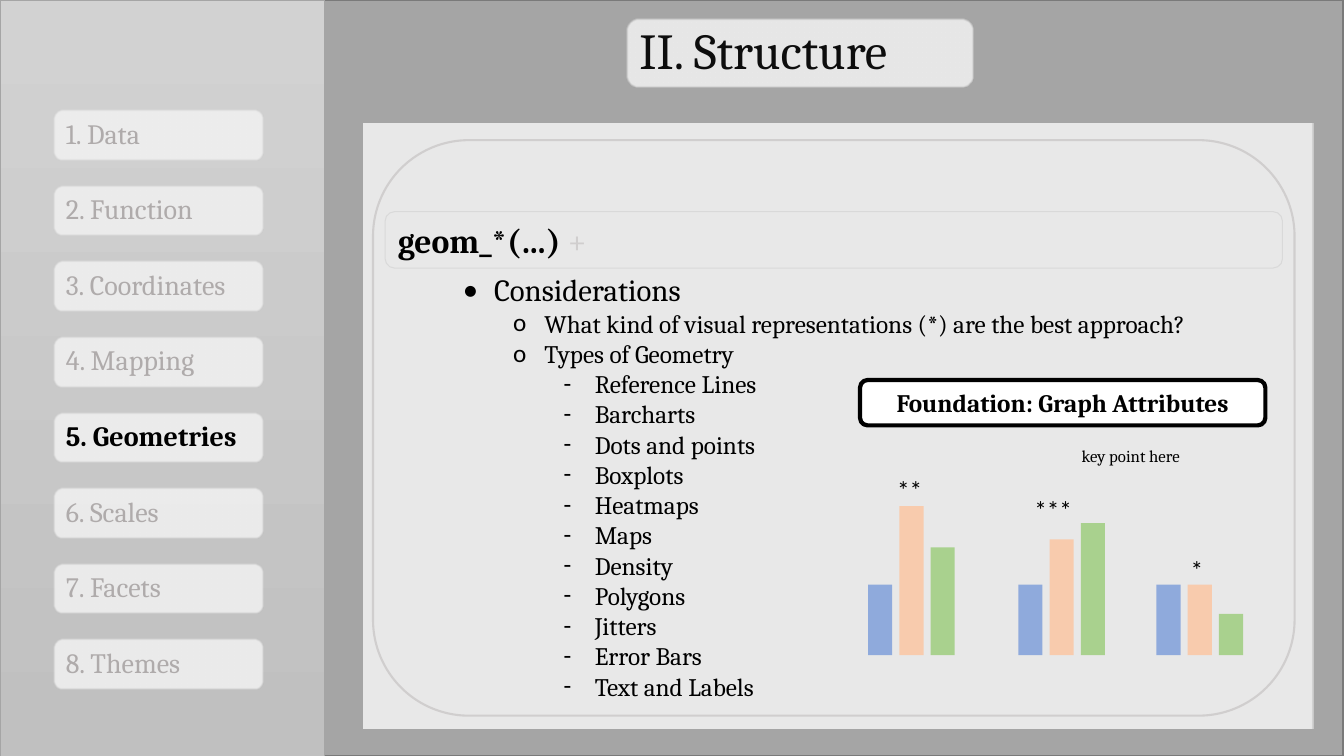
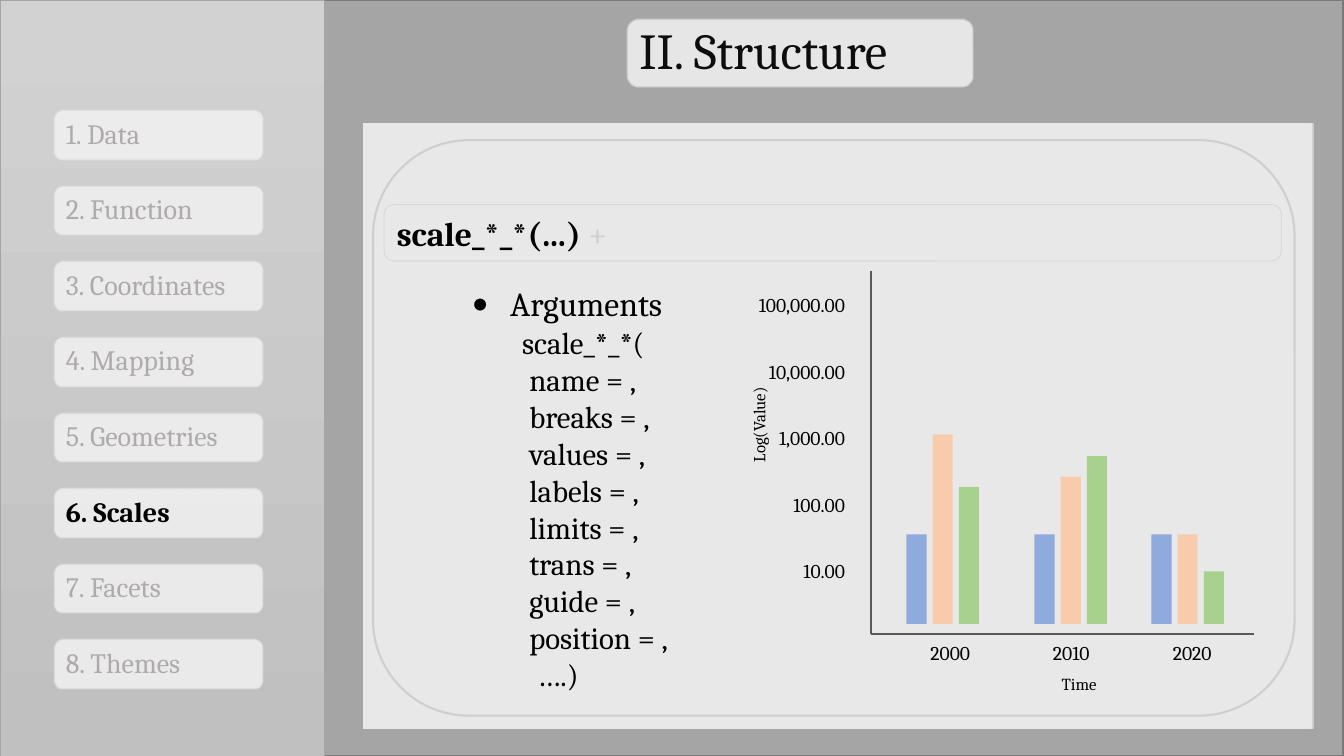
from dataclasses import dataclass

from lxml.etree import SubElement
from pptx import Presentation
from pptx.dml.color import RGBColor
from pptx.enum.shapes import MSO_CONNECTOR, MSO_SHAPE
from pptx.enum.text import MSO_ANCHOR, PP_ALIGN
from pptx.oxml.ns import qn
from pptx.util import Inches, Pt

SERIF, SANS = "Cambria", "Calibri"
BLACK, WHITE, INK = "000000", "FFFFFF", "0D0D0D"
PALE, RULE, EDGE, FADED = "F2F2F2", "D0CECE", "D9D9D9", "AFABAB"
BACK, BORDER, AXIS = "A5A5A5", "7A7A7A", "595959"
TOP, BOTTOM = "D2D2D2", "C0C0C0"
SERIES = ("8FAADC", "F8CBAD", "A9D18E")
HEIGHTS = ((0.7, 1.48, 1.07), (0.7, 1.15, 1.31), (0.7, 0.7, 0.41))
TOPICS = ("Data", "Function", "Coordinates", "Mapping",
          "Geometries", "Scales", "Facets", "Themes")


@dataclass
class Box:
    left: float
    top: float
    width: float
    height: float

    def place(self):
        return [Inches(n) for n in (self.left, self.top, self.width, self.height)]


@dataclass
class Style:
    size: float
    color: str = BLACK
    bold: bool = False
    name: str = SERIF
    align: PP_ALIGN = PP_ALIGN.LEFT
    space: float = 1


@dataclass
class Item:
    text: str
    size: float
    left: float
    hang: float = 0
    mark: str = ""


@dataclass
class Bars:
    starts: tuple
    base: float
    width: float
    step: float
    scale: float = 1


def rgb(color: str) -> RGBColor:
    return RGBColor.from_string(color)


def set_font(font, style: Style) -> None:
    font.name, font.size, font.bold = style.name, Pt(style.size), style.bold
    font.color.rgb = rgb(style.color)


def write(shape, text: str, style: Style):
    """Fill the first paragraph of a shape and return it."""
    frame = shape.text_frame
    frame.word_wrap = True
    para = frame.paragraphs[0]
    para.text, para.alignment = text, style.align
    if style.space != 1:
        para.line_spacing = style.space
    set_font(para.font, style)
    return para


def draw(slide, box: Box, fill: str = "", line: str = "", weight: float = 1,
         kind=MSO_SHAPE.RECTANGLE):
    shape = slide.shapes.add_shape(kind, *box.place())
    shape.shadow.inherit = False
    if fill:
        shape.fill.solid()
        shape.fill.fore_color.rgb = rgb(fill)
    else:
        shape.fill.background()
    if line:
        shape.line.color.rgb = rgb(line)
        shape.line.width = Pt(weight)
    else:
        shape.line.fill.background()
    shape.text_frame.vertical_anchor = MSO_ANCHOR.MIDDLE
    return shape


def glass(slide, box: Box, kind=MSO_SHAPE.ROUNDED_RECTANGLE):
    """Draw a pale, slightly see-through shape with a soft edge."""
    shape = draw(slide, box, PALE, kind=kind)
    props = shape._element.spPr
    SubElement(props.find(qn("a:solidFill"))[0], qn("a:alpha"), val="88000")
    SubElement(props.find(qn("a:effectLst")), qn("a:softEdge"), rad="12700")
    return shape


def label(slide, box: Box, text: str, style: Style):
    shape = slide.shapes.add_textbox(*box.place())
    write(shape, text, style)
    return shape


def rule(slide, start: tuple, end: tuple) -> None:
    line = slide.shapes.add_connector(
        MSO_CONNECTOR.STRAIGHT, *[Inches(n) for n in (*start, *end)])
    line.line.color.rgb = rgb(AXIS)
    line.line.width = Pt(1.5)
    SubElement(line._element.spPr, qn("a:effectLst"))


def outline(slide, box: Box, items: list) -> None:
    """Write an indented list, with bullets where an item has a mark."""
    frame = slide.shapes.add_textbox(*box.place()).text_frame
    frame.word_wrap = True
    frame.margin_left = frame.margin_top = 0
    for i, item in enumerate(items):
        para = frame.add_paragraph() if i else frame.paragraphs[0]
        para.text = item.text
        props = para._p.get_or_add_pPr()
        props.set("marL", str(Inches(item.left)))
        props.set("indent", str(-Inches(item.hang)))
        if item.mark:
            SubElement(props, qn("a:buFont"), typeface=SANS)
            SubElement(props, qn("a:buChar"), char=item.mark)
        set_font(para.font, Style(item.size))


def plot(slide, bars: Bars) -> None:
    for start, group in zip(bars.starts, HEIGHTS):
        for i, (size, color) in enumerate(zip(group, SERIES)):
            high = size * bars.scale
            draw(slide, Box(start + i * bars.step, bars.base - high,
                            bars.width, high), color)


def base(deck, topic: str, call: str, box: Box):
    """Add a slide with title, topic list, panel and code heading."""
    slide = deck.slides.add_slide(deck.slide_layouts[6])
    draw(slide, Box(3.21, 0, 10.11, 7.5), BACK, BORDER)
    side = draw(slide, Box(0, 0, 3.22, 7.5), BACK, BACK, 0.5)
    side.fill.gradient()
    side.fill.gradient_angle = 270
    for stop, color in zip(side.fill.gradient_stops, (TOP, BOTTOM)):
        stop.color.rgb = rgb(color)
    title = glass(slide, Box(6.21, 0.18, 3.45, 0.69))
    write(title, "II. Structure", Style(36, INK, space=0.9))
    glass(slide, Box(3.61, 1.23, 9.42, 6), MSO_SHAPE.RECTANGLE)
    for i, name in enumerate(TOPICS):
        here = name == topic
        tab = glass(slide, Box(0.53, 1.09 + 0.75 * i, 2.08, 0.5))
        write(tab, f"{i + 1}. {name}",
              Style(20, BLACK if here else FADED, here, space=0.9))
    head = draw(slide, box, line=EDGE, weight=0.75,
                kind=MSO_SHAPE.ROUNDED_RECTANGLE)
    para = write(head, call + " ", Style(24, bold=True))
    plus = para.add_run()
    plus.text = "+"
    plus.font.bold = False
    plus.font.color.rgb = rgb(RULE)
    draw(slide, Box(3.7, 1.39, 9.14, 5.71), line=RULE, weight=1.5,
         kind=MSO_SHAPE.ROUNDED_RECTANGLE)
    return slide


def shapes_slide(deck) -> None:
    slide = base(deck, "Geometries", "geom_*(…)", Box(3.82, 2.1, 8.9, 0.56))
    points = ("What kind of visual representations (*) are the best approach?",
              "Types of Geometry")
    kinds = ("Reference Lines", "Barcharts", "Dots and points", "Boxplots",
             "Heatmaps", "Maps", "Density", "Polygons", "Jitters",
             "Error Bars", "Text and Labels")
    outline(slide, Box(4.59, 2.69, 8.2, 4.3),
            [Item("Considerations", 22, 0.31, 0.31, "•")]
            + [Item(text, 18, 0.81, 0.31, "o") for text in points]
            + [Item(text, 18, 1.31, 0.31, "-") for text in kinds])
    plot(slide, Bars((8.61, 10.1, 11.47), 6.5, 0.24, 0.31))
    for left, top, stars in ((8.8, 4.66, "**"), (10.16, 4.85, "***"),
                             (11.71, 5.45, "*")):
        label(slide, Box(left, top, 0.88, 0.33), stars, Style(18, name=SANS))
    label(slide, Box(10.63, 4.37, 1.69, 0.25), "key point here", Style(12))
    badge = draw(slide, Box(8.53, 3.77, 4.02, 0.45), WHITE, BLACK, 3,
                 MSO_SHAPE.ROUNDED_RECTANGLE)
    write(badge, "Foundation: Graph Attributes",
          Style(18, bold=True, align=PP_ALIGN.CENTER))


def scales_slide(deck) -> None:
    slide = base(deck, "Scales", "scale_*_*(…)", Box(3.81, 2.03, 8.9, 0.56))
    names = ("name", "breaks", "values", "labels", "limits", "trans",
             "guide", "position")
    outline(slide, Box(4.68, 2.81, 2.7, 4.1),
            [Item("Arguments", 24, 0.38, 0.38, "•"),
             Item("scale_*_*(", 22, 0.5)]
            + [Item(f"{name} = ,", 22, 0.57) for name in names]
            + [Item("….)", 22, 0.65)])
    ticks = ("100,000.00", "10,000.00", "1,000.00", "100.00", "10.00")
    for i, text in enumerate(ticks):
        label(slide, Box(7.33, 2.86 + 0.66 * i, 1.15, 0.35), text,
              Style(14, align=PP_ALIGN.RIGHT))
    for i, year in enumerate(("2000", "2010", "2020")):
        label(slide, Box(8.99 + 1.2 * i, 6.31, 0.87, 0.35), year,
              Style(14, align=PP_ALIGN.CENTER))
    plot(slide, Bars((8.99, 10.26, 11.42), 6.19, 0.2, 0.26, 1.27))
    label(slide, Box(10.43, 6.63, 0.65, 0.32), "Time", Style(12))
    side = label(slide, Box(6.96, 3.96, 1.14, 0.31), "Log(Value)", Style(12))
    side.rotation = 270
    rule(slide, (8.64, 2.69), (8.64, 6.29))
    rule(slide, (12.44, 6.29), (8.64, 6.29))


def main() -> None:
    deck = Presentation()
    deck.slide_width, deck.slide_height = Inches(13.33), Inches(7.5)
    shapes_slide(deck)
    scales_slide(deck)
    deck.save("out.pptx")


if __name__ == "__main__":
    main()
